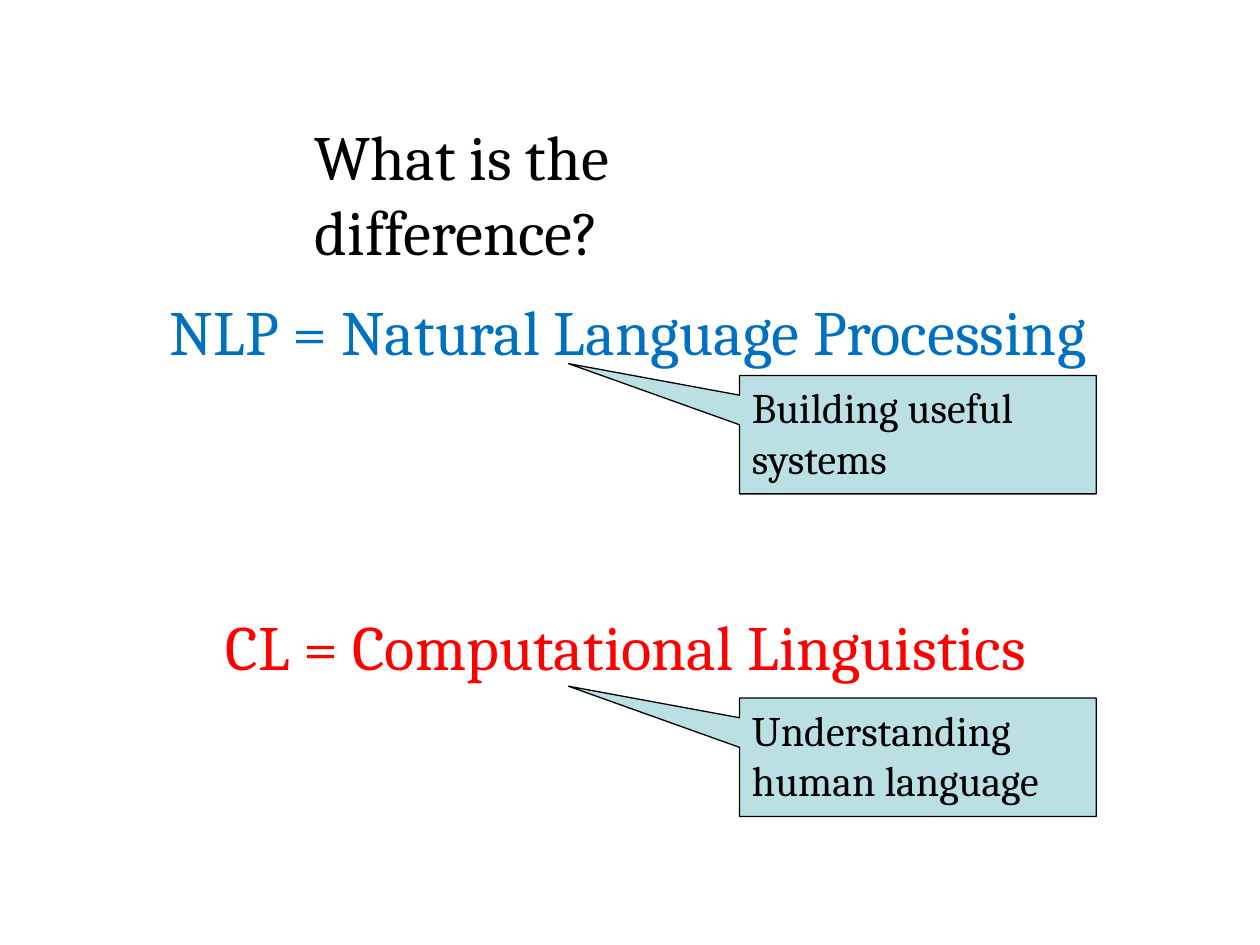
"""Build a slide contrasting natural language processing with computational linguistics."""
from pptx import Presentation
from pptx.dml.color import RGBColor
from pptx.enum.shapes import MSO_SHAPE
from pptx.enum.text import MSO_ANCHOR, PP_ALIGN
from pptx.util import Inches, Pt


def color(value):
    return RGBColor.from_string(value)


def write(shape, text, size, ink):
    frame = shape.text_frame
    frame.word_wrap = True
    frame.vertical_anchor = MSO_ANCHOR.TOP
    para = frame.paragraphs[0]
    para.text = text
    para.alignment = PP_ALIGN.LEFT
    para.font.name = "Cambria"
    para.font.size = Pt(size)
    para.font.color.rgb = color(ink)


deck = Presentation()
deck.slide_width, deck.slide_height = Inches(10), Inches(7.5)
page = deck.slides.add_slide(deck.slide_layouts[6])

headings = [
    ("NLP = Natural Language Processing", 1.25, 2.27, 7.62, "0070C0"),
    ("CL = Computational Linguistics", 1.69, 4.77, 6.74, "FF0000"),
    ("What is the difference?", 2.4, 0.88, 4.89, "000000"),
]
for text, left, top, width, ink in headings:
    box = page.shapes.add_textbox(Inches(left), Inches(top), Inches(width), Inches(0.71))
    write(box, text, 36, ink)
box.text_frame.margin_right = Inches(1)

callouts = [("Building useful systems", 2.98), ("Understanding human language", 5.54)]
for text, top in callouts:
    callout = page.shapes.add_shape(
        MSO_SHAPE.RECTANGULAR_CALLOUT, Inches(5.87), Inches(top), Inches(2.83), Inches(0.94)
    )
    callout.adjustments[0], callout.adjustments[1] = -0.98, -0.6
    callout.shadow.inherit = False
    callout.fill.solid()
    callout.fill.fore_color.rgb = color("BBE0E3")
    callout.line.color.rgb = color("000000")
    callout.line.width = Pt(0.75)
    write(callout, text, 24, "000000")

deck.save("out.pptx")
